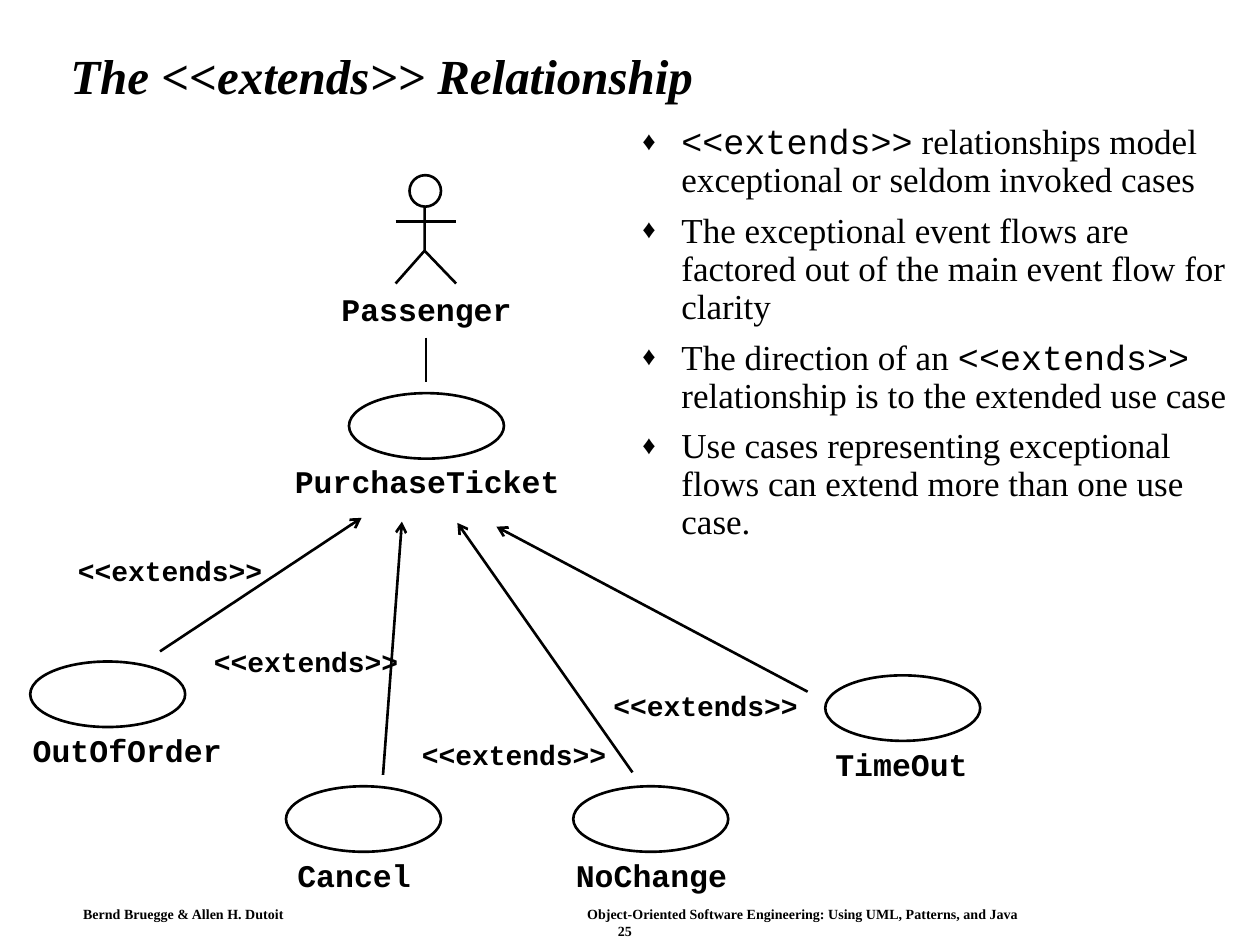
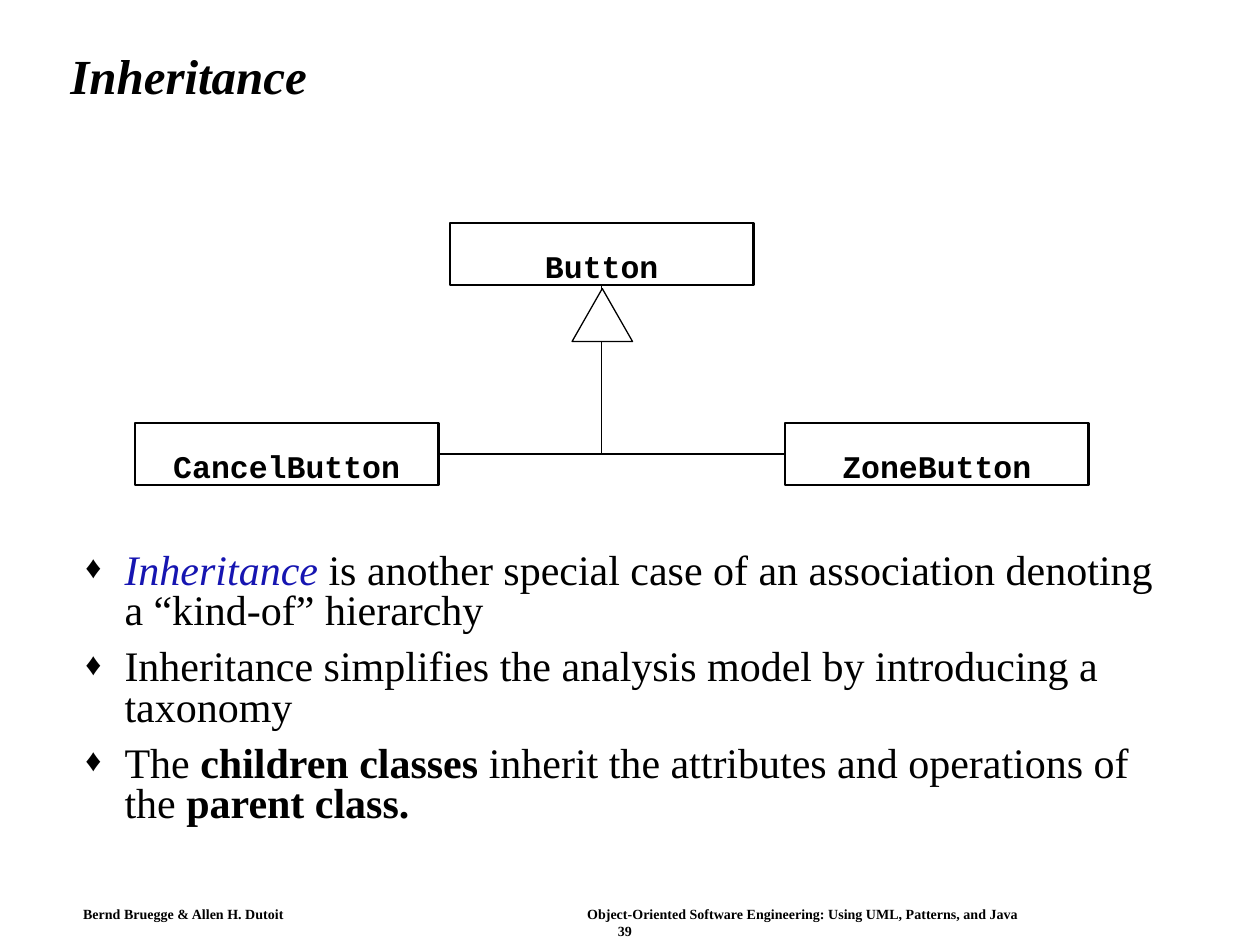
from lxml.etree import SubElement
from pptx import Presentation
from pptx.dml.color import RGBColor
from pptx.enum.shapes import MSO_CONNECTOR as CONNECTOR, MSO_SHAPE as SHAPE
from pptx.enum.text import MSO_ANCHOR as ANCHOR, PP_ALIGN as ALIGN
from pptx.oxml.ns import qn
from pptx.util import Pt

PX = 9144
BLACK = RGBColor(0x00, 0x00, 0x00)
WHITE = RGBColor(0xFF, 0xFF, 0xFF)
BLUE = RGBColor(0x16, 0x15, 0xB1)
SERIF = "Times New Roman"
MONO = "Courier New"
EXTENDS = "<<extends>>"


def add_text(slide, box, text, font_name, size, margins=(0, 0), align=ALIGN.LEFT, anchor=ANCHOR.TOP, wrap=False):
    frame = slide.shapes.add_textbox(*[value * PX for value in box]).text_frame
    frame.word_wrap = wrap
    frame.vertical_anchor = anchor
    frame.margin_left = frame.margin_right = margins[0] * PX
    frame.margin_top = frame.margin_bottom = margins[1] * PX
    paragraph = frame.paragraphs[0]
    paragraph.text = text
    paragraph.alignment = align
    paragraph.font.name = font_name
    paragraph.font.size = Pt(size)
    paragraph.font.bold = True
    paragraph.font.color.rgb = BLACK
    return paragraph


def outline(shape, weight, fill=None):
    if fill is not None:
        shape.fill.solid()
        shape.fill.fore_color.rgb = fill
    elif hasattr(shape, "fill"):
        shape.fill.background()
    shape.line.color.rgb = BLACK
    shape.line.width = Pt(weight)
    SubElement(shape.element.spPr, qn("a:effectLst"))


presentation = Presentation()
presentation.slide_width = 1000 * PX
presentation.slide_height = 750 * PX

extends_bullets = [
    [(EXTENDS, {"name": MONO}), (" relationships model exceptional or seldom invoked cases", {})],
    [("The exceptional event flows are factored out of the main event flow for clarity", {})],
    [("The direction of an ", {}), (EXTENDS, {"name": MONO}),
     (" relationship is to the extended use case", {})],
    [("Use cases representing exceptional flows can extend more than one use case.", {})],
]
inheritance_bullets = [
    [("Inheritance ", {"italic": True, "color": BLUE}),
     ("is another special case of an association denoting a “kind-of” hierarchy", {})],
    [("Inheritance simplifies the analysis model by introducing a taxonomy", {})],
    [("The ", {}), ("children classes", {"bold": True}),
     (" inherit the attributes and operations of the ", {}), ("parent class.", {"bold": True})],
]
pages = [
    ("The <<extends>> Relationship", "25", (500, 94, 489, 525), extends_bullets, 20, 0.9, 7.5),
    ("Inheritance", "39", (58, 434, 875, 233), inheritance_bullets, 24, 0.8, 9),
]

for title, number, body_box, bullets, size, spacing, gap in pages:
    slide = presentation.slides.add_slide(presentation.slide_layouts[6])
    slide.background.fill.solid()
    slide.background.fill.fore_color.rgb = WHITE

    add_text(slide, (66, 719, 170, 13), "Bernd Bruegge & Allen H. Dutoit", SERIF, 8)
    add_text(slide, (466, 719, 345, 13),
             "Object-Oriented Software Engineering: Using UML, Patterns, and Java", SERIF, 8)
    add_text(slide, (486, 732, 20, 13), number, SERIF, 8, align=ALIGN.CENTER)

    heading = add_text(slide, (46, 24, 892, 77), title, SERIF, 28, (10, 5), anchor=ANCHOR.MIDDLE, wrap=True)
    heading.line_spacing = 0.9
    heading.font.italic = True

    body = slide.shapes.add_textbox(*[value * PX for value in body_box]).text_frame
    body.word_wrap = True
    body.margin_left = body.margin_right = 10 * PX
    body.margin_top = body.margin_bottom = 5 * PX
    for index, runs in enumerate(bullets):
        paragraph = body.add_paragraph() if index else body.paragraphs[0]
        properties = paragraph._p.get_or_add_pPr()
        properties.set("marL", str(31 * PX))
        properties.set("indent", str(-31 * PX))
        SubElement(SubElement(properties, qn("a:buClr")), qn("a:srgbClr"), val=str(BLACK))
        SubElement(properties, qn("a:buSzPct"), val="75000")
        SubElement(properties, qn("a:buFont"), typeface=SERIF)
        SubElement(properties, qn("a:buChar"), char="♦")
        paragraph.line_spacing = spacing
        if index:
            paragraph.space_before = Pt(gap)
        paragraph.font.name = SERIF
        paragraph.font.size = Pt(size)
        paragraph.font.color.rgb = BLACK
        for text, style in runs:
            run = paragraph.add_run()
            run.text = text
            if "name" in style:
                run.font.name = style["name"]
            if "color" in style:
                run.font.color.rgb = style["color"]
            if "bold" in style:
                run.font.bold = True
            if "italic" in style:
                run.font.italic = True

extends_slide, inheritance_slide = presentation.slides

builder = extends_slide.shapes.build_freeform(337, 157, scale=PX)
builder.add_line_segments([(337, 199), (314, 225)], close=False)
outline(builder.convert_to_shape(), 1.5)

right_leg = (337, 199, 362, 225)
arms = (314, 176, 362, 176)
association = (338, 268, 338, 303)
for ends in (right_leg, arms, association):
    line = extends_slide.shapes.add_connector(CONNECTOR.STRAIGHT, *[value * PX for value in ends])
    outline(line, 1.5)

head = extends_slide.shapes.add_shape(SHAPE.OVAL, 325 * PX, 139 * PX, 25 * PX, 25 * PX)
outline(head, 1.5, WHITE)
add_text(extends_slide, (271, 230, 135, 30), "Passenger", MONO, 18)

use_cases = [
    ("PurchaseTicket", 277, 312, 234),
    ("TimeOut", 655, 536, 663),
    ("NoChange", 455, 624, 457),
    ("OutOfOrder", 24, 525, 26),
    ("Cancel", 227, 624, 236),
]
for name, left, top, name_left in use_cases:
    oval = extends_slide.shapes.add_shape(SHAPE.OVAL, left * PX, top * PX, 123 * PX, 52 * PX)
    outline(oval, 1.5)
    add_text(extends_slide, (name_left, top + 55, 15 * len(name), 30), name, MONO, 18)

extensions = [
    ((394, 418, 641, 549), (477, 541)),
    ((363, 415, 502, 613), (325, 580)),
    ((287, 411, 127, 517), (52, 434)),
    ((319, 414, 304, 615), (160, 506)),
]
for ends, label_corner in extensions:
    arrow = extends_slide.shapes.add_connector(CONNECTOR.STRAIGHT, *[value * PX for value in ends])
    outline(arrow, 1.5)
    SubElement(arrow.line._get_or_add_ln(), qn("a:headEnd"), type="arrow")
    add_text(extends_slide, (*label_corner, 166, 37), EXTENDS, MONO, 16, (10, 5),
             ALIGN.CENTER, ANCHOR.MIDDLE)

class_boxes = {}
for name, left, top in [("Button", 357, 177), ("ZoneButton", 623, 336), ("CancelButton", 107, 336)]:
    box = inheritance_slide.shapes.add_shape(SHAPE.RECTANGLE, left * PX, top * PX, 241 * PX, 49 * PX)
    outline(box, 1.25)
    frame = box.text_frame
    frame.vertical_anchor = ANCHOR.BOTTOM
    frame.margin_top = frame.margin_bottom = 0
    paragraph = frame.paragraphs[0]
    paragraph.text = name
    paragraph.alignment = ALIGN.CENTER
    paragraph.font.name = MONO
    paragraph.font.size = Pt(18)
    paragraph.font.bold = True
    paragraph.font.color.rgb = BLACK
    class_boxes[name] = box

for child, side in [("ZoneButton", 1), ("CancelButton", 3)]:
    elbow = inheritance_slide.shapes.add_connector(CONNECTOR.ELBOW, 0, 0, 0, 0)
    elbow.begin_connect(class_boxes[child], side)
    elbow.end_connect(class_boxes["Button"], 2)
    elbow.element.spPr.find(qn("a:prstGeom")).set("prst", "bentConnector2")
    outline(elbow, 0.75)

triangle = inheritance_slide.shapes.add_shape(
    SHAPE.ISOSCELES_TRIANGLE, 454 * PX, 229 * PX, 48 * PX, 42 * PX)
outline(triangle, 0.75, WHITE)

presentation.save("out.pptx")
